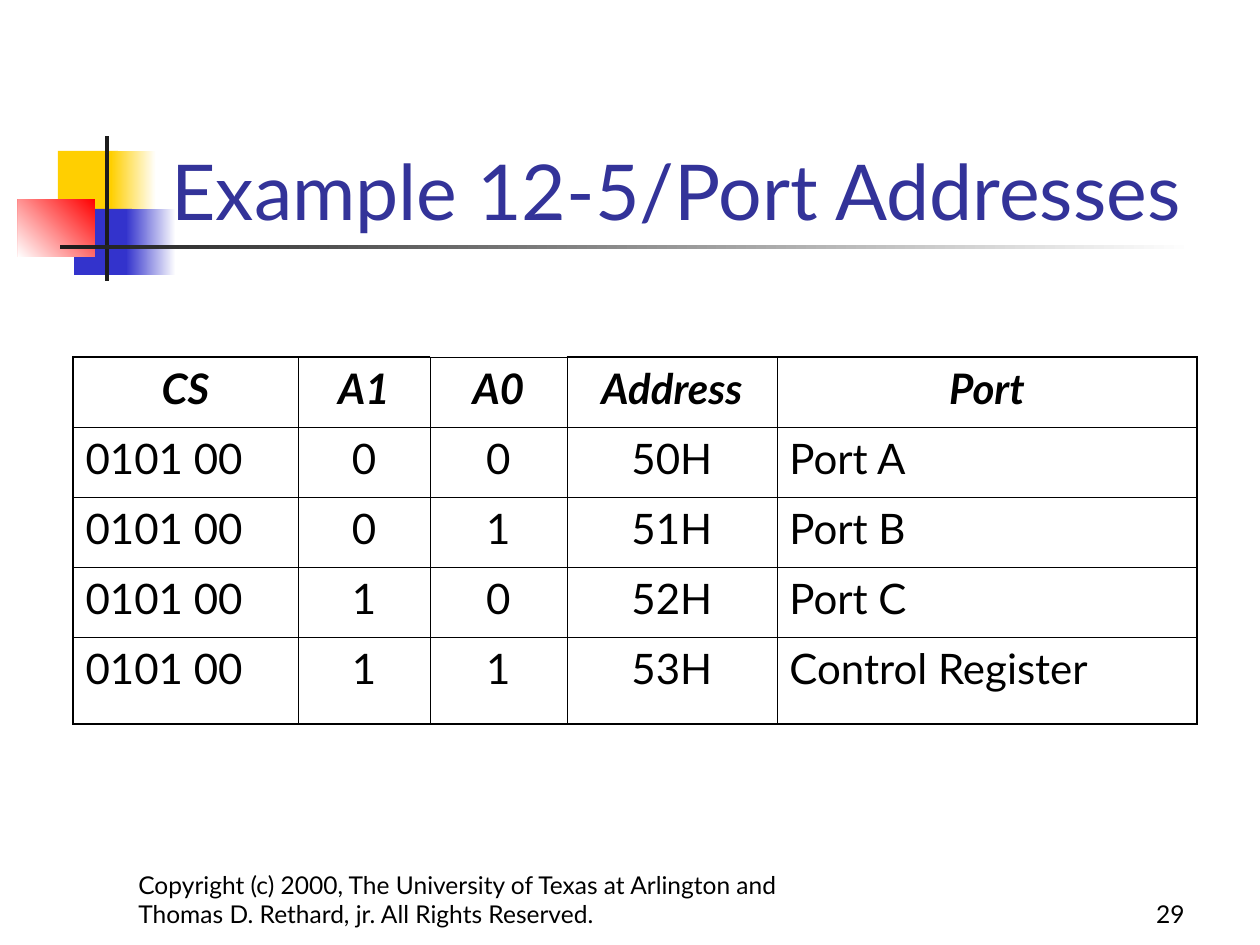
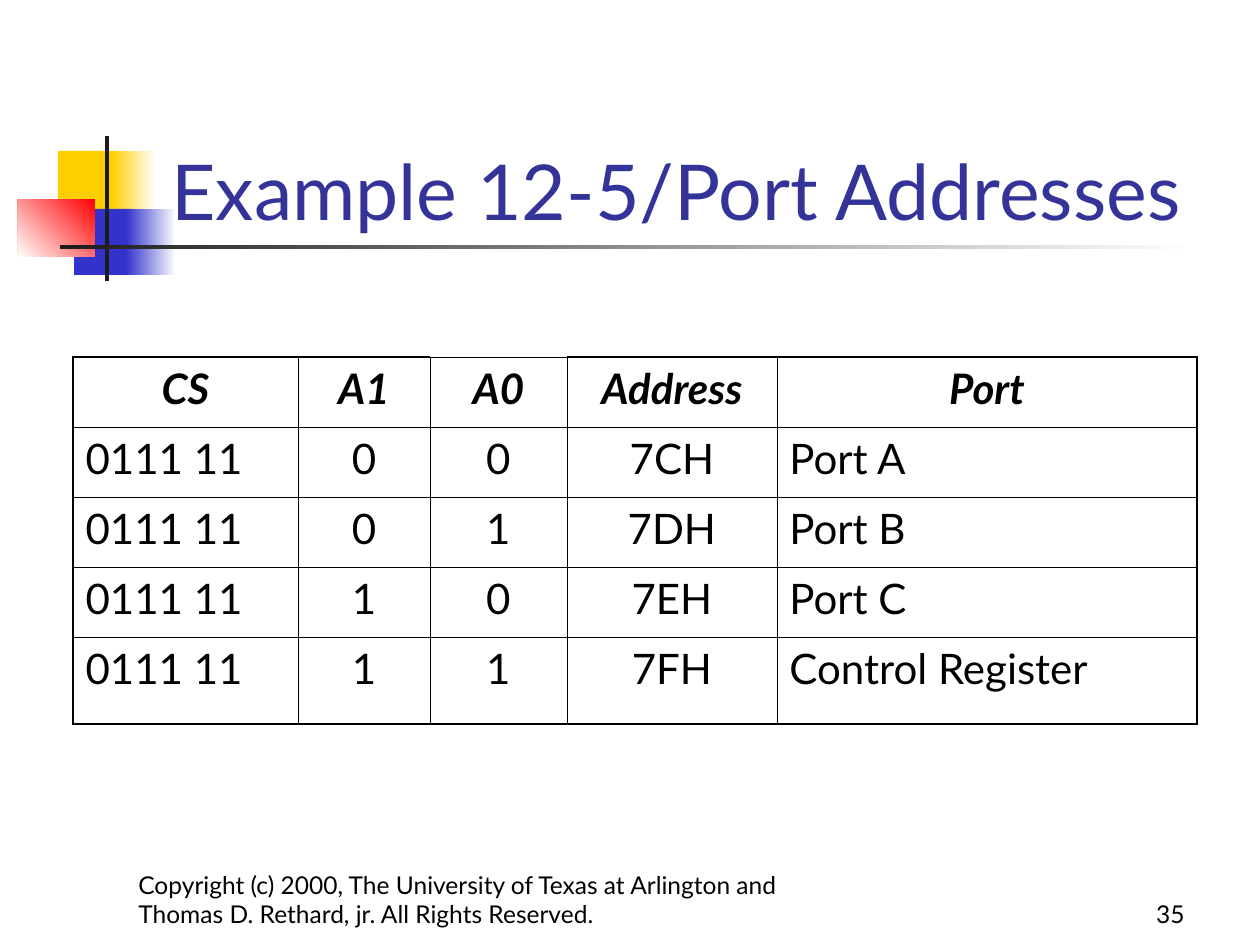
from lxml import etree
from pptx import Presentation
from pptx.dml.color import RGBColor
from pptx.enum.shapes import MSO_SHAPE
from pptx.enum.text import MSO_ANCHOR, PP_ALIGN
from pptx.oxml.ns import qn
from pptx.util import Emu, Pt

RECTANGLE = MSO_SHAPE.RECTANGLE
BOTTOM = MSO_ANCHOR.BOTTOM
LEFT, CENTER, RIGHT = PP_ALIGN.LEFT, PP_ALIGN.CENTER, PP_ALIGN.RIGHT

EMU_PER_PX = 914400 / 126
SLIDE_WIDTH, SLIDE_HEIGHT = 1260, 945
BLANK_LAYOUT = 6

FONT = "Lato"
TITLE_SIZE, TABLE_SIZE, FOOTER_SIZE = 44, 24, 14
THIN, THICK = 0.45, 1.08

WHITE = RGBColor(0xFF, 0xFF, 0xFF)
BLACK = RGBColor(0x00, 0x00, 0x00)
CHARCOAL = RGBColor(0x1C, 0x1C, 0x1C)
YELLOW = RGBColor(0xFF, 0xCF, 0x01)
BLUE = RGBColor(0x33, 0x33, 0xCC)
RED = RGBColor(0xFF, 0x00, 0x00)
TITLE_BLUE = RGBColor(0x33, 0x33, 0x99)

# Regions: left, top, width, height
ORNAMENT_BOX = (18, 136, 1176, 145)
TITLE_BOX = (159, 84, 1074, 158)
TABLE_BOX = (73, 357, 1124, 367)
FOOTER_BOX = (126, 872, 1071, 63)

# Ornament parts: offset in the region, size, colours, gradient angle
ORNAMENT_PARTS = [
    (40, 15, 60, 66, [YELLOW], None),
    (93, 15, 45, 66, [WHITE, YELLOW], 180),
    (56, 73, 58, 66, [BLUE], None),
    (108, 73, 50, 66, [WHITE, BLUE], 180),
    (0, 63, 77, 58, [RED, WHITE], 225),
    (87, 0, 4, 145, [CHARCOAL], None),
    (42, 109, 1134, 4, [WHITE, CHARCOAL], 180),
]

TITLE = "Example 12-5/Port Addresses"
COPYRIGHT = ("Copyright (c) 2000, The University of Texas at Arlington and "
             "Thomas D. Rethard, jr. All Rights Reserved.")
HEADINGS = ["CS", "A1", "A0", "Address", "Port"]
PORTS = ["Port A", "Port B", "Port C", "Control Register"]
COLUMN_WIDTHS = [225, 132, 137, 210, 420]
ROW_HEIGHT = 70
COLUMN_ALIGNMENTS = [LEFT, CENTER, CENTER, CENTER, LEFT]

# Slide number, chip select bits, port addresses
SLIDES = [
    (29, "0101 00", ["50H", "51H", "52H", "53H"]),
    (35, "0111 11", ["7CH", "7DH", "7EH", "7FH"]),
]


def px(length):
    return Emu(round(length * EMU_PER_PX))


def write(paragraph, text, size, color=BLACK, alignment=LEFT, emphasis=False):
    paragraph.alignment = alignment
    run = paragraph.add_run()
    run.text = text
    font = run.font
    font.name, font.size = FONT, Pt(size)
    font.bold = font.italic = emphasis
    font.color.rgb = color


def add_text(slide, box, text, size, **style):
    shape = slide.shapes.add_textbox(*map(px, box))
    frame = shape.text_frame
    frame.word_wrap = True
    frame.vertical_anchor = BOTTOM
    write(frame.paragraphs[0], text, size, **style)


def add_ornament(slide, box):
    """Coloured squares with the crossing bars."""
    for x, y, width, height, colors, angle in ORNAMENT_PARTS:
        shape = slide.shapes.add_shape(
            RECTANGLE, px(box[0] + x), px(box[1] + y), px(width), px(height))
        shape.shadow.inherit = False
        shape.line.fill.background()
        if angle is None:
            shape.fill.solid()
            shape.fill.fore_color.rgb = colors[0]
        else:
            shape.fill.gradient()
            shape.fill.gradient_angle = angle
            for stop, color in zip(shape.fill.gradient_stops, colors):
                stop.color.rgb = color


def set_borders(cell, widths):
    """Draw the left, right, top and bottom borders, widths in points."""
    properties = cell._tc.get_or_add_tcPr()
    for index, (side, width) in enumerate(zip("LRTB", widths)):
        line = etree.Element(qn(f"a:ln{side}"), w=str(Pt(width)))
        fill = etree.SubElement(line, qn("a:solidFill"))
        etree.SubElement(fill, qn("a:srgbClr"), val=str(BLACK))
        properties.insert(index, line)


def add_address_table(slide, box, chip_select, addresses):
    """Headings, then one row for each value of A1 and A0."""
    rows = [HEADINGS] + [
        [chip_select, str(index // 2), str(index % 2), address, port]
        for index, (address, port) in enumerate(zip(addresses, PORTS))]
    last_row, last_column = len(rows) - 1, len(HEADINGS) - 1
    table = slide.shapes.add_table(
        len(rows), len(HEADINGS), *map(px, box)).table
    table.first_row = table.horz_banding = False

    for column, width in zip(table.columns, COLUMN_WIDTHS):
        column.width = px(width)
    for row in table.rows:
        row.height = px(ROW_HEIGHT)
    table.rows[last_row].height = px(box[3] - last_row * ROW_HEIGHT)

    for r, values in enumerate(rows):
        for c, value in enumerate(values):
            cell = table.cell(r, c)
            heading = r == 0
            cell.fill.background()
            write(cell.text_frame.paragraphs[0], value, TABLE_SIZE,
                  alignment=CENTER if heading else COLUMN_ALIGNMENTS[c],
                  emphasis=heading)
            # The outline is thick, except above A0
            outer = (c == 0, c == last_column,
                     heading and value != "A0", r == last_row)
            set_borders(cell, [THICK if edge else THIN for edge in outer])


def add_footer(slide, box, number):
    """Copyright at the left, slide number at the right."""
    left, top, width, height = box
    number_width = 262
    add_text(slide, (left + width - number_width, top, number_width, height),
             str(number), FOOTER_SIZE, alignment=RIGHT)
    add_text(slide, (left, top, 683, height), COPYRIGHT, FOOTER_SIZE)


def add_address_slide(presentation, number, chip_select, addresses):
    slide = presentation.slides.add_slide(
        presentation.slide_layouts[BLANK_LAYOUT])
    add_ornament(slide, ORNAMENT_BOX)
    add_text(slide, TITLE_BOX, TITLE, TITLE_SIZE, color=TITLE_BLUE)
    add_address_table(slide, TABLE_BOX, chip_select, addresses)
    add_footer(slide, FOOTER_BOX, number)


def main():
    presentation = Presentation()
    presentation.slide_width = px(SLIDE_WIDTH)
    presentation.slide_height = px(SLIDE_HEIGHT)
    for number, chip_select, addresses in SLIDES:
        add_address_slide(presentation, number, chip_select, addresses)
    presentation.save("out.pptx")


if __name__ == "__main__":
    main()
